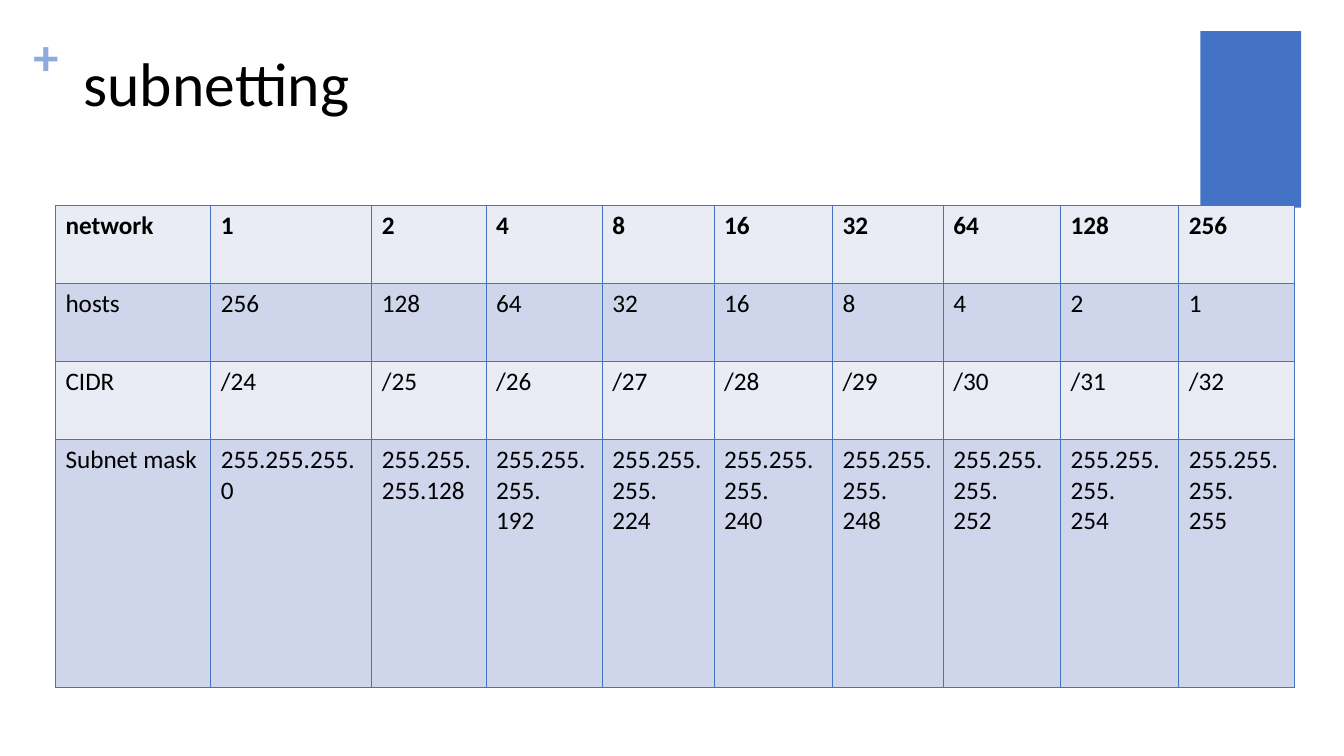
from dataclasses import dataclass

from lxml import etree
from pptx import Presentation
from pptx.dml import color
from pptx.enum import shapes, text
from pptx.oxml import ns
from pptx.util import Pt


@dataclass(frozen=True)
class Theme:
    font: str = "Calibri"
    accent: str = "4472C4"
    plus: str = "8FAADC"
    ink: str = "000000"
    bands: tuple[str, str] = ("E9EBF5", "CFD5EA")
    title_size: float = 44
    plus_size: float = 36
    cell_size: float = 18
    border: float = 1


@dataclass(frozen=True)
class Box:
    left: float
    top: float
    width: float
    height: float

    def emu(self) -> tuple[Pt, Pt, Pt, Pt]:
        return Pt(self.left), Pt(self.top), Pt(self.width), Pt(self.height)


@dataclass(frozen=True)
class Label:
    words: str
    box: Box
    size: float
    ink: str
    bold: bool = False
    inset_x: float = 0
    inset_y: float = 0
    spacing: float = 1.0
    anchor: text.MSO_ANCHOR = text.MSO_ANCHOR.TOP


@dataclass(frozen=True)
class Row:
    height: float
    cells: list[list[str]]
    bold: bool = False


THEME = Theme()
ACCENT_BLOCK = Box(857.5, 22.3, 72, 126)
LABELS = [
    Label("+", Box(23.8, 18, 27.4, 43.9), THEME.plus_size, THEME.plus, bold=True),
    Label("subnetting", Box(52.6, 10.8, 793.4, 78.5), THEME.title_size, THEME.ink,
          inset_x=7.2, inset_y=3.6, spacing=0.9, anchor=text.MSO_ANCHOR.BOTTOM),
]
TABLE_LEFT, TABLE_TOP = 39.6, 147
COLUMN_WIDTHS = [111, 115, 81.7, 82.9, 80, 84.5, 79.2, 83.7, 84.5, 82.8]


def mask_lines(networks: int) -> list[str]:
    last_octet = str(min(256 - 256 // networks, 255))
    prefix = "255.255.255."
    return [prefix + last_octet] if networks < 4 else [prefix, last_octet]


def subnet_rows() -> list[Row]:
    networks = [2 ** bits for bits in range(9)]
    return [
        Row(55.6, [["network"]] + [[str(n)] for n in networks], bold=True),
        Row(55.6, [["hosts"]] + [[str(256 // n)] for n in networks]),
        Row(55.6, [["CIDR"]] + [[f"/{24 + bits}"] for bits in range(9)]),
        Row(177.5, [["Subnet mask"]] + [mask_lines(n) for n in networks]),
    ]


def add_run(p, words: str, size: float, ink: str, bold: bool) -> None:
    r = p.add_run()
    r.text = words
    r.font.name = THEME.font
    r.font.size = Pt(size)
    r.font.bold = bold
    r.font.color.rgb = color.RGBColor.from_string(ink)


def add_block(s, box: Box) -> None:
    sp = s.shapes.add_shape(shapes.MSO_SHAPE.RECTANGLE, *box.emu())
    sp.shadow.inherit = False
    sp.fill.solid()
    sp.fill.fore_color.rgb = color.RGBColor.from_string(THEME.accent)
    sp.line.fill.background()


def add_label(s, label: Label) -> None:
    tf = s.shapes.add_textbox(*label.box.emu()).text_frame
    tf.word_wrap = True
    tf.vertical_anchor = label.anchor
    tf.margin_left = tf.margin_right = Pt(label.inset_x)
    tf.margin_top = tf.margin_bottom = Pt(label.inset_y)
    p = tf.paragraphs[0]
    p.line_spacing = label.spacing
    add_run(p, label.words, label.size, label.ink, label.bold)


def add_borders(cell) -> None:
    tc_pr = cell._tc.get_or_add_tcPr()
    for side in ("a:lnL", "a:lnR", "a:lnT", "a:lnB"):
        ln = etree.SubElement(tc_pr, ns.qn(side), w=str(Pt(THEME.border)))
        fill = etree.SubElement(ln, ns.qn("a:solidFill"))
        etree.SubElement(fill, ns.qn("a:srgbClr"), val=THEME.accent)


def fill_cell(cell, lines: list[str], band: str, bold: bool) -> None:
    add_borders(cell)
    cell.fill.solid()
    cell.fill.fore_color.rgb = color.RGBColor.from_string(band)
    tf = cell.text_frame
    for i, line in enumerate(lines):
        p = tf.add_paragraph() if i else tf.paragraphs[0]
        add_run(p, line, THEME.cell_size, THEME.ink, bold)


def add_subnet_table(s, rows: list[Row]) -> None:
    box = Box(TABLE_LEFT, TABLE_TOP, sum(COLUMN_WIDTHS), sum(row.height for row in rows))
    table = s.shapes.add_table(len(rows), len(COLUMN_WIDTHS), *box.emu()).table
    table.first_row = table.horz_banding = False
    for column, width in zip(table.columns, COLUMN_WIDTHS):
        column.width = Pt(width)
    for i, row in enumerate(rows):
        table.rows[i].height = Pt(row.height)
        for j, lines in enumerate(row.cells):
            fill_cell(table.cell(i, j), lines, THEME.bands[i % 2], row.bold)


def main() -> None:
    prs = Presentation()
    prs.slide_width, prs.slide_height = Pt(960), Pt(540)
    s = prs.slides.add_slide(prs.slide_layouts[6])
    add_block(s, ACCENT_BLOCK)
    for label in LABELS:
        add_label(s, label)
    add_subnet_table(s, subnet_rows())
    prs.save("out.pptx")


if __name__ == "__main__":
    main()
